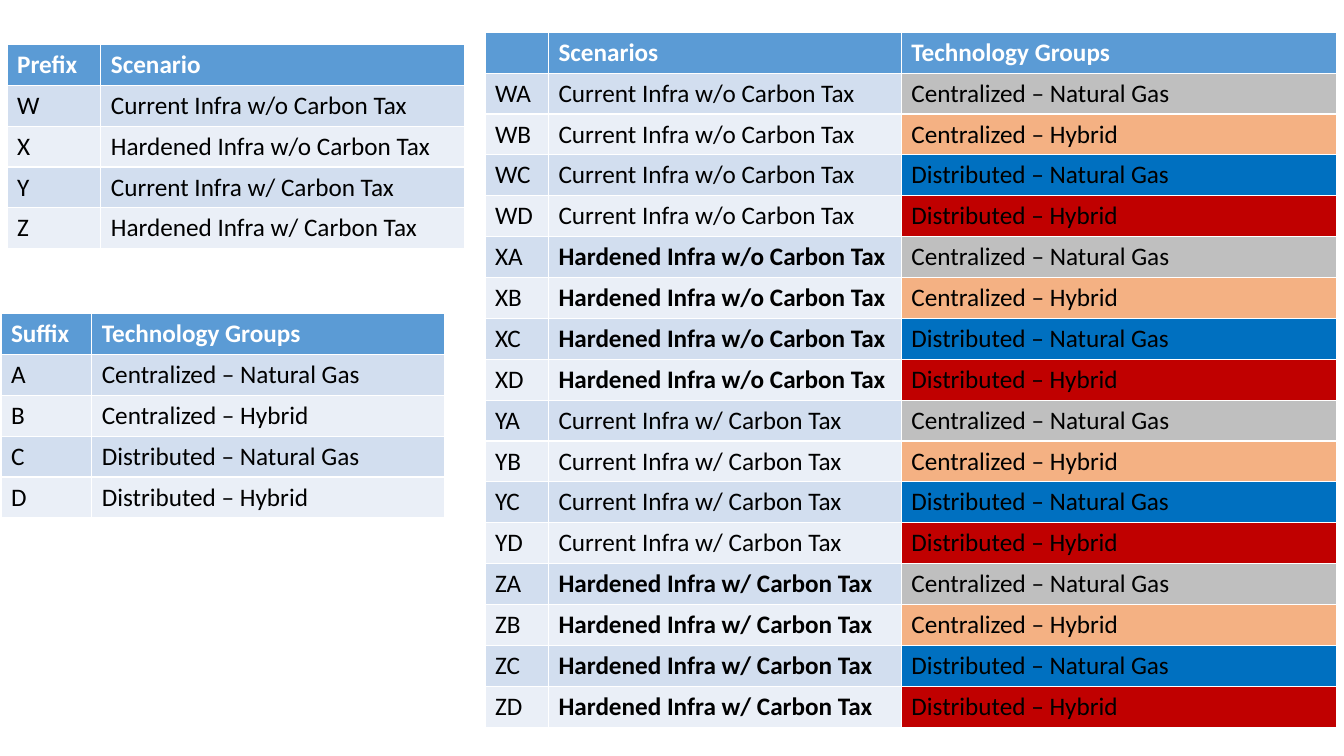
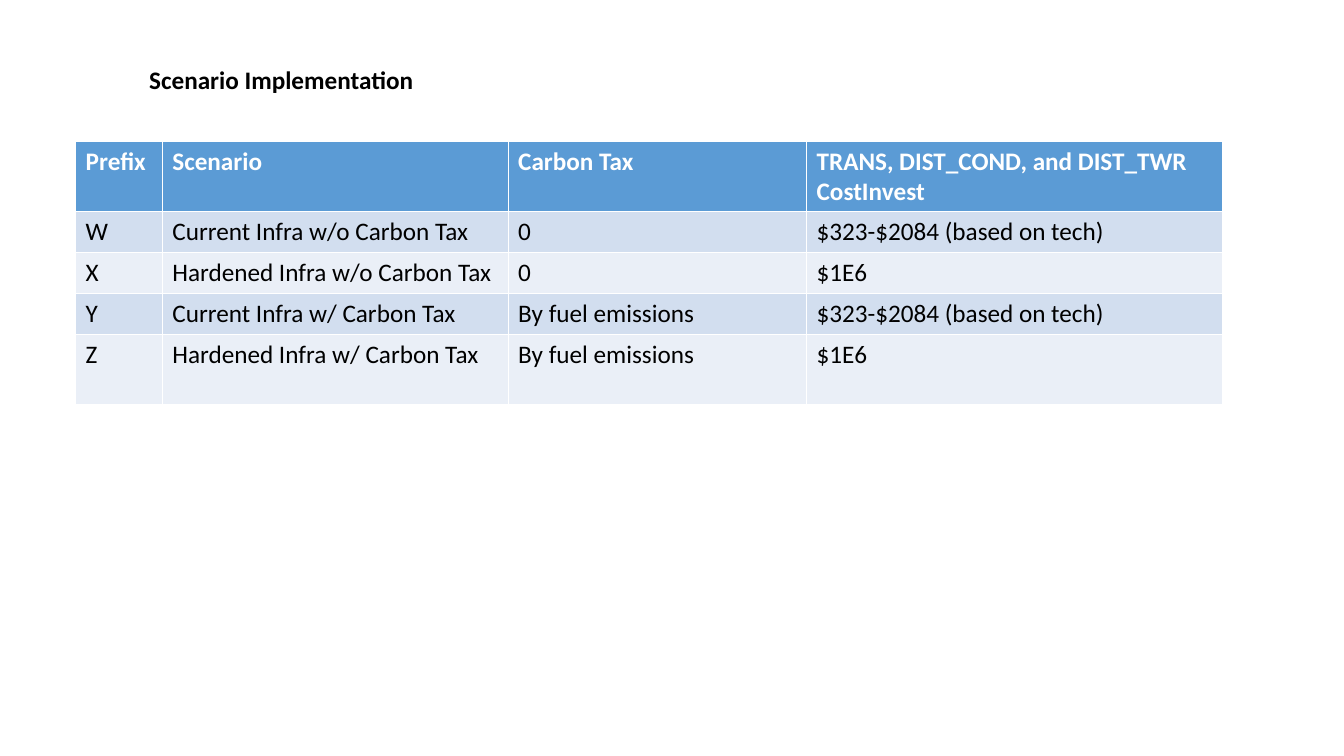
from pptx import Presentation
from pptx.dml.color import RGBColor
from pptx.enum.text import MSO_ANCHOR, MSO_AUTO_SIZE, PP_ALIGN
from pptx.util import Inches, Pt

TOP = MSO_ANCHOR.TOP
LEFT = PP_ALIGN.LEFT
FIT_SHAPE = MSO_AUTO_SIZE.SHAPE_TO_FIT_TEXT

# Shared style
FONT, SIZE = "Calibri", Pt(18)
BLACK, WHITE = "000000", "FFFFFF"
HEADER = "5B9BD5"
BANDS = ["D2DEEF", "EAEFF7"]
ROW = 6.89 / 17
TALL_ROW = 0.7

# Scenarios and technology groups used by every table
SCENARIOS = {
    "W": "Current Infra w/o Carbon Tax",
    "X": "Hardened Infra w/o Carbon Tax",
    "Y": "Current Infra w/ Carbon Tax",
    "Z": "Hardened Infra w/ Carbon Tax",
}
GROUPS = {
    "A": ("Centralized – Natural Gas", "BFBFBF"),
    "B": ("Centralized – Hybrid", "F4B183"),
    "C": ("Distributed – Natural Gas", "0070C0"),
    "D": ("Distributed – Hybrid", "C00000"),
}


def style_text(text_frame, color, bold):
    for paragraph in text_frame.paragraphs:
        for run in paragraph.runs:
            run.font.name = FONT
            run.font.size = SIZE
            run.font.bold = bold
            run.font.color.rgb = RGBColor.from_string(color)


def add_banded_table(slide, left, top, widths, rows):
    frame = slide.shapes.add_table(
        len(rows), len(widths), Inches(left), Inches(top),
        Inches(sum(widths)), Inches(ROW * len(rows)))
    table = frame.table
    for column, width in zip(table.columns, widths):
        column.width = Inches(width)
    for r, values in enumerate(rows):
        table.rows[r].height = Inches(ROW)
        for c, value in enumerate(values):
            cell = table.cell(r, c)
            cell.text_frame.text = value
            style_text(cell.text_frame, BLACK if r else WHITE, r == 0)
            cell.fill.solid()
            fill = BANDS[(r - 1) % 2] if r else HEADER
            cell.fill.fore_color.rgb = RGBColor.from_string(fill)
    return table


presentation = Presentation()
presentation.slide_width = Inches(13.33)
presentation.slide_height = Inches(7.5)
title_only, blank = presentation.slide_layouts[5], presentation.slide_layouts[6]

# Slide 1: the two keys on the left
slide = presentation.slides.add_slide(blank)
suffix_rows = [(suffix, group) for suffix, (group, _) in GROUPS.items()]
add_banded_table(slide, 0.01, 3.11, [0.9, 3.5],
                 [("Suffix", "Technology Groups")] + suffix_rows)
add_banded_table(slide, 0.07, 0.44, [0.93, 3.61],
                 [("Prefix", "Scenario")] + list(SCENARIOS.items()))

# Slide 1: every scenario combined with every technology group
combinations = [(prefix + suffix, scenario, group)
                for prefix, scenario in SCENARIOS.items()
                for suffix, group in suffix_rows]
table = add_banded_table(slide, 4.81, 0.32, [0.63, 3.5, 4.32],
                         [("", "Scenarios", "Technology Groups")] + combinations)
for r, (code, scenario, group) in enumerate(combinations, start=1):
    style_text(table.cell(r, 1).text_frame, BLACK, scenario.startswith("Hardened"))
    group_color = GROUPS[code[1]][1]
    table.cell(r, 2).fill.fore_color.rgb = RGBColor.from_string(group_color)

# Slide 2: title
slide = presentation.slides.add_slide(title_only)
title = slide.shapes.title
title.left, title.top = Inches(1.38), Inches(0.59)
title.width, title.height = Inches(2.84), Inches(0.4)
title.text_frame.text = "Scenario Implementation"
title.text_frame.word_wrap = False
title.text_frame.auto_size = FIT_SHAPE
title.text_frame.vertical_anchor = TOP
title.text_frame.paragraphs[0].alignment = LEFT
style_text(title.text_frame, BLACK, True)

# Slide 2: tax and investment cost of each scenario
implementation = [("Prefix", "Scenario", "Carbon Tax",
                   "TRANS, DIST_COND, and DIST_TWR CostInvest")]
for prefix, scenario in SCENARIOS.items():
    tax = "0" if "w/o" in scenario else "By fuel emissions"
    hardened = scenario.startswith("Hardened")
    cost = "$1E6" if hardened else "$323-$2084 (based on tech)"
    implementation.append((prefix, scenario, tax, cost))
table = add_banded_table(slide, 0.75, 1.4, [0.86, 3.43, 2.96, 4.13], implementation)
for r in (0, len(implementation) - 1):
    table.rows[r].height = Inches(TALL_ROW)

presentation.save("out.pptx")
